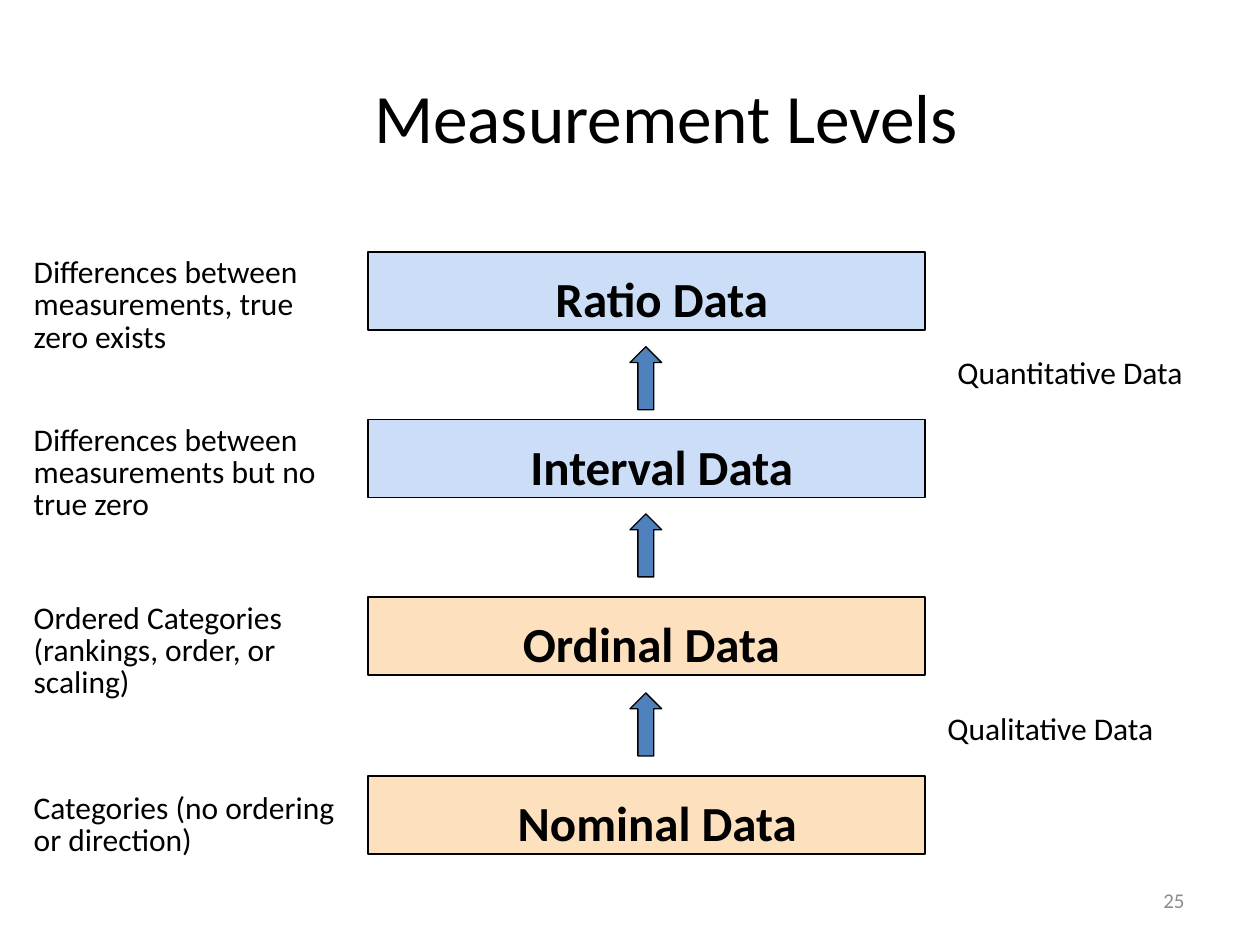
import pptx
import pptx.util
import pptx.dml.color
import pptx.enum.shapes
import pptx.enum.text

Cm, Pt = pptx.util.Cm, pptx.util.Pt
RGBColor = pptx.dml.color.RGBColor
SHAPE = pptx.enum.shapes.MSO_SHAPE
ALIGN = pptx.enum.text.PP_ALIGN
ANCHOR = pptx.enum.text.MSO_ANCHOR
AUTO_SIZE = pptx.enum.text.MSO_AUTO_SIZE

BLACK = RGBColor(0x00, 0x00, 0x00)
GREY = RGBColor(0x8C, 0x8C, 0x8C)
PALE_BLUE = RGBColor(0xCB, 0xDD, 0xF7)
PALE_ORANGE = RGBColor(0xFD, 0xE0, 0xBD)
ARROW_BLUE = RGBColor(0x4F, 0x81, 0xBD)


class Board:
    """Holds the text style and the slide being filled."""

    font_name = "Calibri"

    def __init__(self, slide):
        self.slide = slide

    def style(self, paragraph, size, color=BLACK, bold=False, align=ALIGN.LEFT):
        paragraph.alignment = align
        font = paragraph.font
        font.name, font.size, font.bold = self.font_name, Pt(size), bold
        font.color.rgb = color

    def title(self, text, left, top, width, height):
        heading = self.slide.shapes.title
        heading.left, heading.top = Cm(left), Cm(top)
        heading.width, heading.height = Cm(width), Cm(height)
        heading.text_frame.text = text
        heading.text_frame.vertical_anchor = ANCHOR.MIDDLE
        self.style(heading.text_frame.paragraphs[0], 39.6, align=ALIGN.CENTER)

    def shape(self, kind, left, top, width, height, fill, line_width):
        shape = self.slide.shapes.add_shape(
            kind, Cm(left), Cm(top), Cm(width), Cm(height))
        shape.shadow.inherit = False
        shape.fill.solid()
        shape.fill.fore_color.rgb = fill
        shape.line.color.rgb = BLACK
        shape.line.width = Pt(line_width)

    def text(self, text, left, top, width, height, size=18, spacing=None,
             anchor=ANCHOR.TOP, **style):
        frame = self.slide.shapes.add_textbox(
            Cm(left), Cm(top), Cm(width), Cm(height)).text_frame
        frame.word_wrap = True
        frame.auto_size = AUTO_SIZE.SHAPE_TO_FIT_TEXT
        frame.vertical_anchor = anchor
        frame.text = text
        paragraph = frame.paragraphs[0]
        if spacing:
            paragraph.line_spacing = spacing
        self.style(paragraph, size, **style)


# Level, fill, bar top, label centre, note, note width, note height
LEVELS = [
    ("Ratio Data", PALE_BLUE, 5.08, 13.34,
     "Differences between measurements, true zero exists", 6.55, 2.21),
    ("Interval Data", PALE_BLUE, 8.46, 13.34,
     "Differences between measurements but no true zero", 6.78, 2.21),
    ("Ordinal Data", PALE_ORANGE, 12.04, 13.13,
     "Ordered Categories (rankings, order, or scaling)", 7.42, 2.21),
    ("Nominal Data", PALE_ORANGE, 15.65, 13.25,
     "Categories (no ordering or direction)", 7.19, 1.55),
]
BAR_LEFT, BAR_WIDTH, BAR_HEIGHT = 7.42, 11.23, 1.57
LABEL_WIDTH = 10


def main():
    presentation = pptx.Presentation()
    presentation.slide_width, presentation.slide_height = Cm(25.4), Cm(19.05)
    board = Board(presentation.slides.add_slide(presentation.slide_layouts[5]))

    board.title("Measurement Levels", 3.18, 1.27, 20.5, 2.11)

    # Levels with their explanations
    for level, fill, top, centre, note, note_width, note_height in LEVELS:
        board.shape(SHAPE.RECTANGLE, BAR_LEFT, top, BAR_WIDTH, BAR_HEIGHT, fill, 1)
        board.text(level, centre - LABEL_WIDTH / 2, top + 0.21, LABEL_WIDTH, 1.45,
                   size=28, bold=True, align=ALIGN.CENTER)
        # The lowest note sits a little below the top of its bar
        note_top = top + 0.23 if note_height < BAR_HEIGHT else top
        board.text(note, 0.43, note_top, note_width, note_height, spacing=0.85)

    # Arrows from each level up to the next
    for arrow_top in (6.99, 10.36, 13.97):
        board.shape(SHAPE.UP_ARROW, 12.7, arrow_top, 0.64, 1.27, ARROW_BLUE, 0.75)

    # Kinds of data
    board.text("Quantitative Data", 19.05, 6.99, 5.92, 1.02)
    board.text("Qualitative Data", 18.85, 14.17, 5.92, 1.02)

    # Page number
    board.text("25", 18.2, 17.65, 5.93, 1.01, size=12, color=GREY,
               align=ALIGN.RIGHT, anchor=ANCHOR.MIDDLE)

    presentation.save("out.pptx")


if __name__ == "__main__":
    main()
